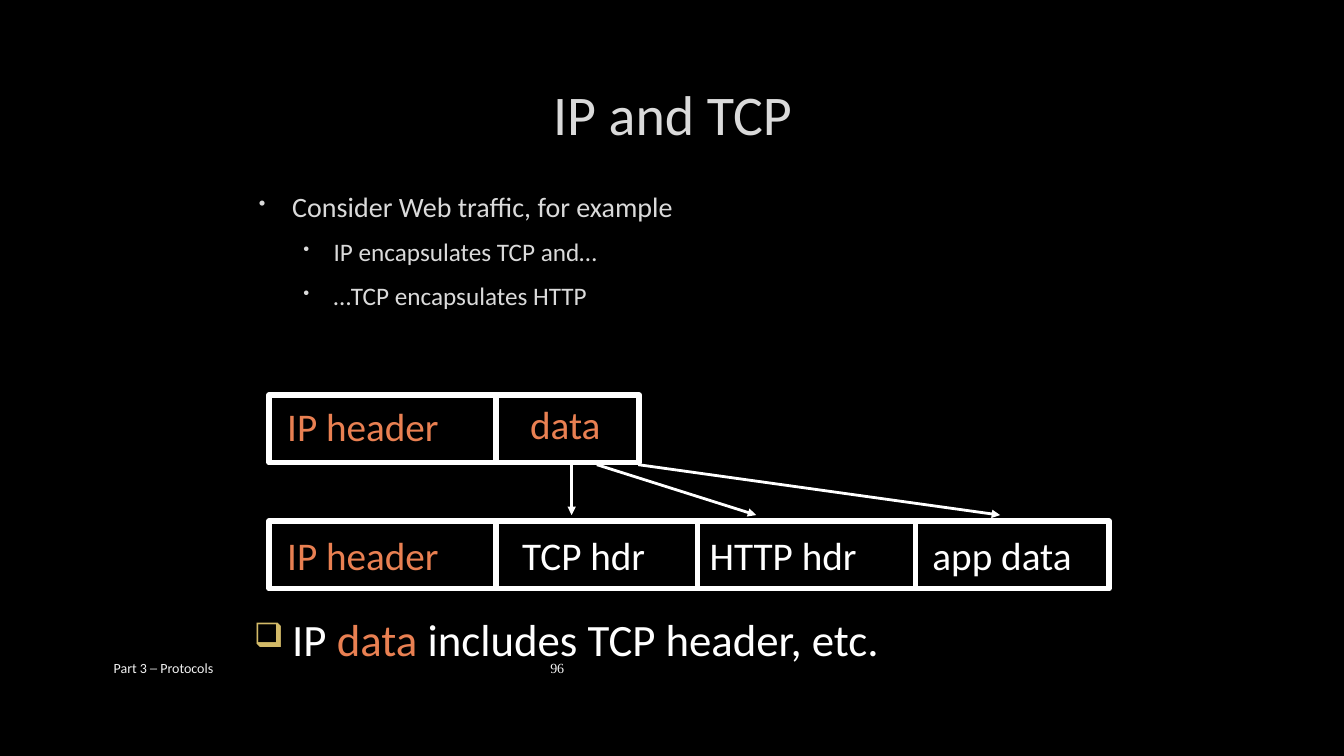
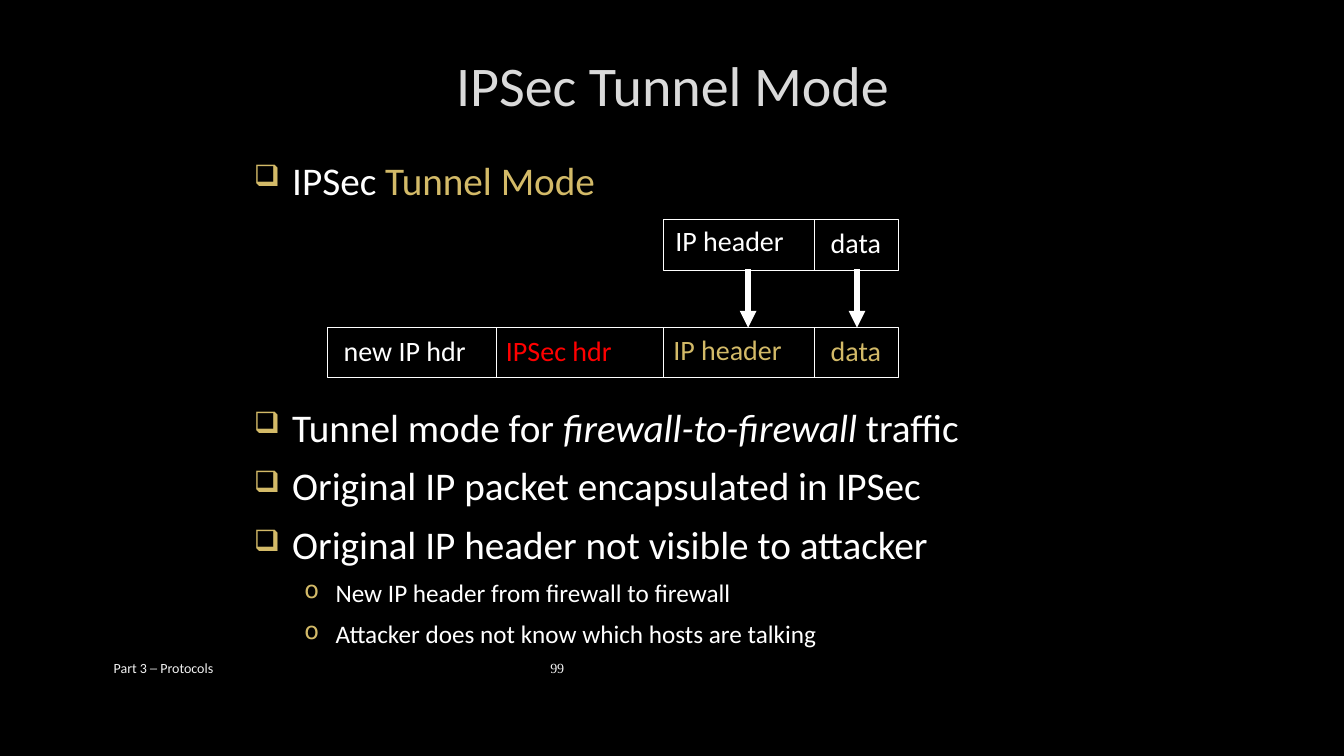
import pptx
import pptx.dml.color
import pptx.enum.shapes
import pptx.enum.text
import pptx.oxml
import pptx.oxml.ns
import pptx.util

Inches = pptx.util.Inches
Pt = pptx.util.Pt
RGBColor = pptx.dml.color.RGBColor
qn = pptx.oxml.ns.qn

BLACK = RGBColor(0x00, 0x00, 0x00)
WHITE = RGBColor(0xFF, 0xFF, 0xFF)
SILVER = RGBColor(0xDA, 0xDA, 0xDA)
PALE = RGBColor(0xF2, 0xF2, 0xF2)
ORANGE = RGBColor(0xE9, 0x80, 0x52)
GOLD = RGBColor(0xD3, 0xBA, 0x68)
RED = RGBColor(0xFF, 0x00, 0x00)

BODY_FONT = "Calibri"
NUMBER_FONT = "Times New Roman"
TITLE_ONLY = 5

DOT = dict(character="•", bullet_color=SILVER, percent=70,
           margin=0.38, hanging=0.33, size=20, color=SILVER, after=6)
SUB_DOT = dict(DOT, margin=0.79, hanging=0.3, size=18)
BOX = dict(character="❑", bullet_color=GOLD, percent=75,
           margin=0.38, hanging=0.38, size=28, color=WHITE)
TIGHT_BOX = dict(BOX, line_spacing=0.9, after=6)
RING = dict(TIGHT_BOX, character="o", percent=95,
            margin=0.81, hanging=0.31, size=18)


def set_font(font, size, color, name=BODY_FONT):
    """Set size, colour and typeface of a font."""
    font.size = Pt(size)
    font.color.rgb = color
    font.name = name


def add_child(parent, tag, **attributes):
    """Append a DrawingML element to a parent and return it."""
    child = pptx.oxml.parse_xml(f"<{tag} {pptx.oxml.ns.nsdecls('a')}/>")
    for name, value in attributes.items():
        child.set(name, str(value))
    parent.append(child)
    return child


def add_text_box(slide, left, top, width, height):
    """Add a wrapping text box and return its text frame."""
    shape = slide.shapes.add_textbox(
        Inches(left), Inches(top), Inches(width), Inches(height))
    shape.text_frame.word_wrap = True
    return shape.text_frame


def add_label(slide, left, top, width, height, text, size, color,
              name=BODY_FONT):
    """Add one line of plain text."""
    text_frame = add_text_box(slide, left, top, width, height)
    paragraph = text_frame.paragraphs[0]
    paragraph.text = text
    set_font(paragraph.font, size, color, name)
    return text_frame


def format_bullet(paragraph, character, bullet_color, percent, margin,
                  hanging, size, color, line_spacing=1.0, after=0):
    """Give a paragraph its bullet, indent, spacing and font."""
    properties = paragraph._p.get_or_add_pPr()
    properties.set("marL", str(Inches(margin)))
    properties.set("indent", str(-Inches(hanging)))
    add_child(add_child(properties, "a:buClr"), "a:srgbClr", val=bullet_color)
    add_child(properties, "a:buSzPct", val=percent * 1000)
    add_child(properties, "a:buChar", char=character)
    paragraph.line_spacing = line_spacing
    paragraph.space_before = Pt(0.2 * size)
    paragraph.space_after = Pt(after)
    set_font(paragraph.font, size, color)


def add_bullets(slide, left, top, width, height, items):
    """Add bulleted paragraphs from (style, runs), a run being (text, color, italic)."""
    text_frame = add_text_box(slide, left, top, width, height)
    for index, (style, runs) in enumerate(items):
        paragraph = (text_frame.add_paragraph() if index
                     else text_frame.paragraphs[0])
        format_bullet(paragraph, **style)
        for text, color, italic in runs:
            run = paragraph.add_run()
            run.text = text
            if color is not None:
                run.font.color.rgb = color
            if italic:
                run.font.italic = True


def plain(text, color=None, italic=False):
    """Describe one run of text."""
    return text, color, italic


def add_line(slide, start, end, weight, arrow=False):
    """Add a white straight line, with an arrowhead at its end if asked."""
    points = [Inches(value) for value in (*start, *end)]
    connector = slide.shapes.add_connector(
        pptx.enum.shapes.MSO_CONNECTOR.STRAIGHT, *points)
    connector.line.color.rgb = WHITE
    connector.line.width = Pt(weight)
    properties = connector.element.spPr
    if arrow:
        add_child(properties.find(qn("a:ln")), "a:tailEnd", type="triangle")
    add_child(properties, "a:effectLst")


def add_packet(slide, edges, top, height, weight, size, fields):
    """Draw a packet split at its edges, each field (text, color, inset, drop)."""
    frame = slide.shapes.add_shape(
        pptx.enum.shapes.MSO_SHAPE.RECTANGLE, Inches(edges[0]), Inches(top),
        Inches(edges[-1] - edges[0]), Inches(height))
    frame.shadow.inherit = False
    frame.fill.background()
    frame.line.color.rgb = WHITE
    frame.line.width = Pt(weight)
    for edge in edges[1:-1]:
        add_line(slide, (edge, top), (edge, top + height), weight)
    for left, right, (text, color, inset, drop) in zip(edges, edges[1:], fields):
        add_label(slide, left + inset, top + drop, right - left, height,
                  text, size, color)


def add_slide(presentation, title, title_top, title_height, number):
    """Add a slide with its title, footer and slide number."""
    slide = presentation.slides.add_slide(
        presentation.slide_layouts[TITLE_ONLY])
    shape = slide.shapes.title
    shape.left, shape.top = Inches(2.42), Inches(title_top)
    shape.width, shape.height = Inches(8.5), Inches(title_height)
    text_frame = shape.text_frame
    text_frame.text = title
    text_frame.vertical_anchor = pptx.enum.text.MSO_ANCHOR.MIDDLE
    paragraph = text_frame.paragraphs[0]
    paragraph.alignment = pptx.enum.text.PP_ALIGN.CENTER
    set_font(paragraph.font, 40, SILVER)
    for left, width, text, name in (
            (1.03, 3, "Part 3 ─ Protocols", BODY_FONT),
            (5.36, 0.6, number, NUMBER_FONT)):
        footer = add_label(slide, left, 6.43, width, 0.4, text, 10, PALE, name)
        footer.vertical_anchor = pptx.enum.text.MSO_ANCHOR.MIDDLE
    return slide


def build_encapsulation(presentation):
    """Build the slide on IP carrying TCP."""
    slide = add_slide(presentation, "IP and TCP", 0.5, 1.25, "96")
    add_bullets(slide, 2.42, 1.83, 8.42, 2.08, [
        (DOT, [plain("Consider Web traffic, for example")]),
        (SUB_DOT, [plain("IP encapsulates TCP and…")]),
        (SUB_DOT, [plain("…TCP encapsulates HTTP")]),
    ])
    add_packet(slide, (2.67, 4.92, 6.34), 3.92, 0.67, 4, 28, [
        ("IP header", ORANGE, 0.08, 0.02),
        ("data", ORANGE, 0.24, 0),
    ])
    add_packet(slide, (2.67, 4.92, 6.92, 9.08, 11), 5.17, 0.67, 4, 28, [
        ("IP header", ORANGE, 0.08, 0.05),
        ("TCP hdr", WHITE, 0.16, 0.05),
        ("HTTP hdr", WHITE, 0.02, 0.05),
        ("app data", WHITE, 0.07, 0.05),
    ])
    for start, end in ((5.67, 5.67), (5.92, 7.5), (6.33, 9.92)):
        add_line(slide, (start, 4.61), (end, 5.11), 2, arrow=True)
    add_bullets(slide, 2.42, 6.08, 8.33, 0.75, [
        (dict(BOX, size=32, line_spacing=0.9), [
            plain("IP "), plain("data", ORANGE),
            plain(" includes TCP header, etc.")]),
    ])


def build_tunnel_mode(presentation):
    """Build the slide on IPSec tunnel mode."""
    slide = add_slide(presentation, "IPSec Tunnel Mode", 0.33, 1, "99")
    add_bullets(slide, 2.42, 1.5, 7.33, 0.58, [
        (BOX, [plain("IPSec "), plain("Tunnel Mode", GOLD)]),
    ])
    add_packet(slide, (6.58, 8.08, 8.91), 2.18, 0.5, 0.75, 20, [
        ("IP header", WHITE, 0.02, -0.01),
        ("data", WHITE, 0.06, 0.01),
    ])
    add_packet(slide, (3.25, 4.92, 6.58, 8.08, 8.91), 3.25, 0.5, 0.75, 20, [
        ("new IP hdr", WHITE, 0.06, 0.01),
        ("IPSec hdr", RED, 0, 0.01),
        ("IP header", GOLD, 0, 0),
        ("data", GOLD, 0.06, 0.01),
    ])
    for center in (7.42, 8.5):
        add_line(slide, (center, 2.67), (center, 3.25), 4, arrow=True)
    add_bullets(slide, 2.42, 4, 8.92, 2.75, [
        (TIGHT_BOX, [plain("Tunnel mode for "),
                     plain("firewall-to-firewall", italic=True),
                     plain(" traffic")]),
        (TIGHT_BOX, [plain("Original IP packet encapsulated in IPSec")]),
        (TIGHT_BOX, [plain("Original IP header not visible to attacker")]),
        (RING, [plain("New IP header from firewall to firewall")]),
        (RING, [plain("Attacker does not know which hosts are talking")]),
    ])


def main():
    """Build and save the presentation."""
    presentation = pptx.Presentation()
    presentation.slide_width = Inches(13.33)
    presentation.slide_height = Inches(7.5)
    background = presentation.slide_master.background.fill
    background.solid()
    background.fore_color.rgb = BLACK
    build_encapsulation(presentation)
    build_tunnel_mode(presentation)
    presentation.save("out.pptx")


if __name__ == "__main__":
    main()
